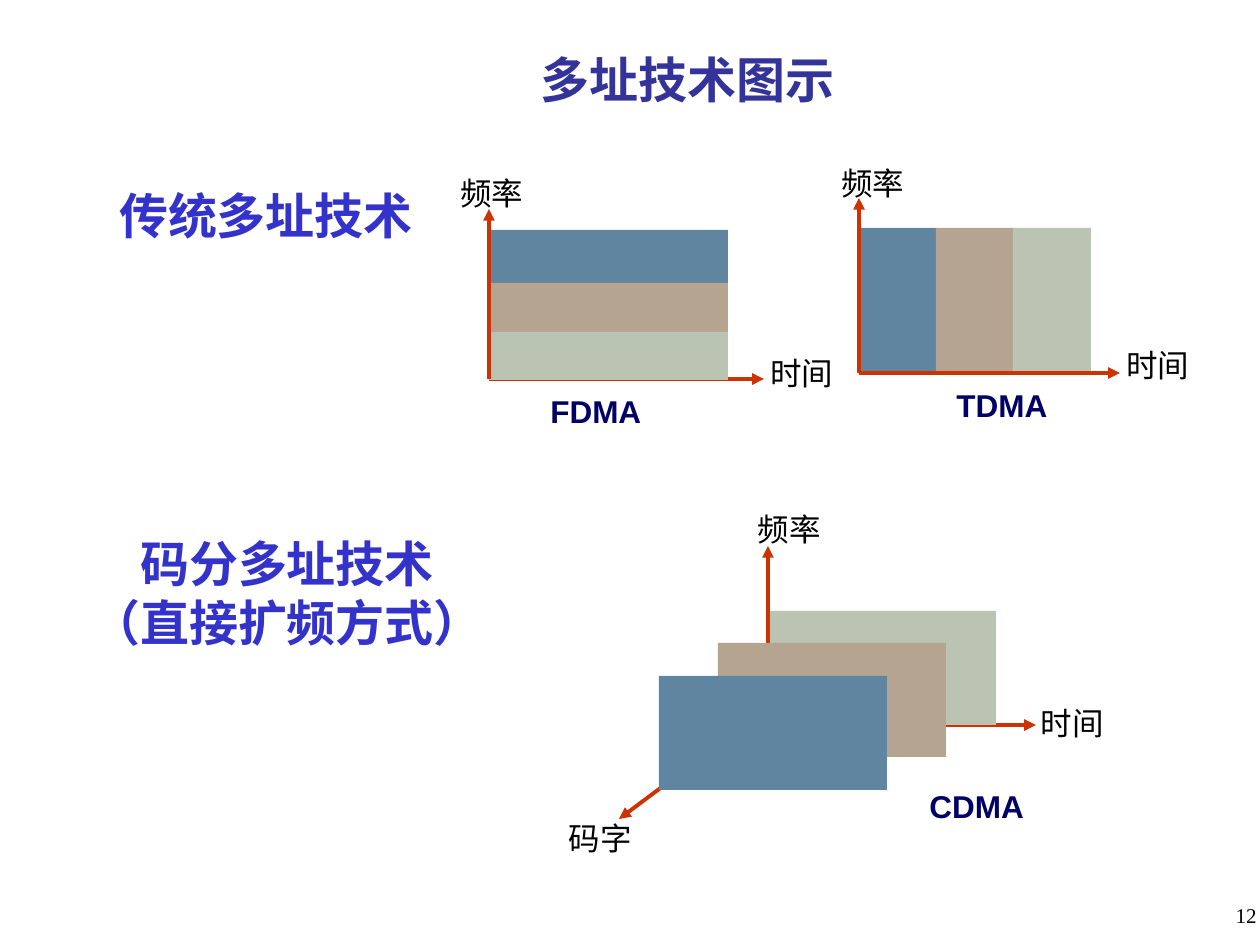
from dataclasses import dataclass

from pptx import Presentation
from pptx.dml.color import RGBColor
from pptx.enum.shapes import MSO_CONNECTOR, MSO_SHAPE
from pptx.enum.text import MSO_ANCHOR, MSO_AUTO_SIZE, PP_ALIGN
from pptx.oxml import parse_xml
from pptx.oxml.ns import nsdecls, qn
from pptx.util import Pt

EMU_PER_PX = 914400 / 126
LINE = MSO_CONNECTOR.STRAIGHT
RECT = MSO_SHAPE.RECTANGLE
TOP, MIDDLE = MSO_ANCHOR.TOP, MSO_ANCHOR.MIDDLE
LEFT, CENTER, RIGHT = PP_ALIGN.LEFT, PP_ALIGN.CENTER, PP_ALIGN.RIGHT
NO_AUTOFIT = MSO_AUTO_SIZE.NONE
TITLE_ONLY = 5


@dataclass(frozen=True)
class Style:
    font: str
    size: int
    color: str
    bold: bool = False


@dataclass(frozen=True)
class Theme:
    title: Style = Style("Times New Roman", 28, "333399", True)
    heading: Style = Style("Arial", 28, "3333CC", True)
    name: Style = Style("Arial", 18, "000066", True)
    axis_label: Style = Style("Times New Roman", 18, "000000")
    number: Style = Style("Times New Roman", 12, "000000")
    axis: str = "CC3300"
    axis_pt: float = 2.25
    blue: str = "5F85A1"
    tan: str = "B5A48F"
    green: str = "BBC4B2"


THEME = Theme()


def px(*values):
    return [round(v * EMU_PER_PX) for v in values]


def rgb(color):
    return RGBColor.from_string(color)


def write(tf, lines, style, align, anchor=MIDDLE, wrap=True):
    tf.word_wrap = wrap
    tf.auto_size = NO_AUTOFIT
    tf.vertical_anchor = anchor
    for i, line in enumerate(lines):
        p = tf.add_paragraph() if i else tf.paragraphs[0]
        p.alignment = align
        r = p.add_run()
        r.text = line
        r.font.name = style.font
        r.font.size = Pt(style.size)
        r.font.bold = style.bold
        r.font.color.rgb = rgb(style.color)


def add_text(shapes, box, lines, style, align=CENTER, anchor=MIDDLE, wrap=False):
    tf = shapes.add_textbox(*px(*box)).text_frame
    write(tf, lines, style, align, anchor, wrap)


def add_title(s, box, text):
    sp = s.shapes.title
    sp.left, sp.top, sp.width, sp.height = px(*box)
    write(sp.text_frame, [text], THEME.title, CENTER)
    fill = sp.text_frame.paragraphs[0].runs[0].font._element.find(qn("a:solidFill"))
    fill.addnext(parse_xml(
        f'<a:effectLst {nsdecls("a")}><a:outerShdw dist="35921" dir="2700000">'
        '<a:srgbClr val="C0C0C0"/></a:outerShdw></a:effectLst>'))


def add_block(shapes, box, color):
    sp = shapes.add_shape(RECT, *px(*box))
    sp.shadow.inherit = False
    sp.fill.solid()
    sp.fill.fore_color.rgb = rgb(color)
    sp.line.fill.background()


def add_arrow(shapes, start, end):
    line = shapes.add_connector(LINE, *px(*start, *end))
    line.line.color.rgb = rgb(THEME.axis)
    line.line.width = Pt(THEME.axis_pt)
    line.line._get_or_add_ln().append(
        parse_xml(f'<a:tailEnd {nsdecls("a")} type="triangle"/>'))
    line._element.spPr.append(parse_xml(f'<a:effectLst {nsdecls("a")}/>'))


def add_labels(shapes, name, name_box, axis_labels):
    for text, box in axis_labels:
        add_text(shapes, box, [text], THEME.axis_label)
    add_text(shapes, name_box, [name], THEME.name, LEFT)


def draw_fdma(shapes):
    """Frequency bands stacked along the vertical axis."""
    origin = (489, 379)
    bands = [(230, 53, THEME.blue), (283, 49, THEME.tan), (332, 48, THEME.green)]
    add_arrow(shapes, origin, (764, 379))
    for top, height, color in bands:
        add_block(shapes, (489, top, 239, height), color)
    add_arrow(shapes, origin, (489, 209))
    add_labels(shapes, "FDMA", (538, 386, 116, 50),
               [("频率", (441, 168, 102, 50)), ("时间", (753, 348, 97, 50))])


def draw_tdma(shapes):
    """Time slots side by side along the horizontal axis."""
    origin = (859, 373)
    slot = 77
    for i, color in enumerate((THEME.blue, THEME.tan, THEME.green)):
        add_block(shapes, (origin[0] + i * slot, 228, slot + 1, 147), color)
    add_arrow(shapes, origin, (859, 198))
    add_arrow(shapes, origin, (1120, 373))
    add_labels(shapes, "TDMA", (944, 380, 116, 50),
               [("频率", (819, 158, 107, 50)), ("时间", (1109, 340, 98, 50))])


def draw_cdma(shapes):
    """Code planes layered along the diagonal axis."""
    origin = (768, 725)
    width, height = 228, 114
    add_arrow(shapes, origin, (1036, 725))
    add_arrow(shapes, (765, 710), (619, 819))
    add_block(shapes, (768, 611, width, height), THEME.green)
    add_arrow(shapes, origin, (768, 546))
    add_block(shapes, (718, 643, width, height), THEME.tan)
    add_block(shapes, (659, 676, width, height), THEME.blue)
    add_labels(shapes, "CDMA", (917, 781, 120, 50),
               [("频率", (734, 504, 111, 50)), ("时间", (1022, 698, 101, 50)),
                ("码字", (545, 813, 110, 50))])


def main():
    prs = Presentation()
    prs.slide_width, prs.slide_height = px(1260, 945)
    s = prs.slides.add_slide(prs.slide_layouts[TITLE_ONLY])
    add_title(s, (199, 31, 977, 95), "多址技术图示")
    for draw in (draw_tdma, draw_fdma, draw_cdma):
        draw(s.shapes.add_group_shape().shapes)
    add_text(s.shapes, (107, 179, 318, 72), ["传统多址技术"], THEME.heading)
    add_text(s.shapes, (79, 527, 416, 131),
             ["码分多址技术", "（直接扩频方式）"], THEME.heading)
    add_text(s.shapes, (1007, 896, 262, 63), ["12"], THEME.number,
             RIGHT, TOP, wrap=True)
    prs.save("out.pptx")


if __name__ == "__main__":
    main()
